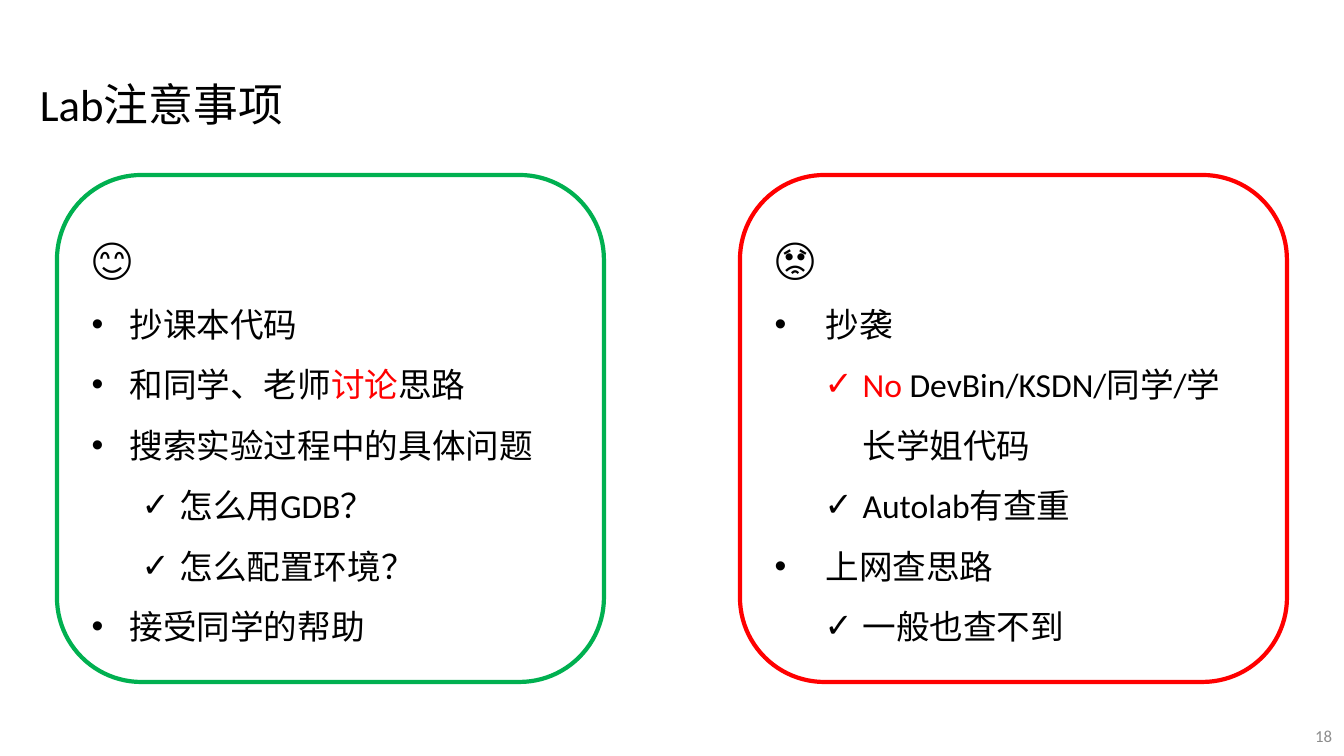
import pptx
import pptx.dml.color
import pptx.enum.shapes
import pptx.enum.text
import pptx.oxml.ns
import pptx.util
from lxml import etree

EMU_PER_PX = 914400 / 100.8
FONT = "Calibri"
COLORS = {
    "text": "000000",
    "panel": "FFFFFF",
    "good": "00B050",
    "bad": "FF0000",
    "number": "8C8C8C",
}
ALIGN = pptx.enum.text.PP_ALIGN
ANCHOR = pptx.enum.text.MSO_ANCHOR

PANEL_TOP, PANEL_WIDTH, PANEL_HEIGHT = 175, 547, 507
HANGING = 38
CHECK_INDENT = 88

# Each item: level, then spans of (text, colour name).
GOOD_ITEMS = [
    (0, [("抄课本代码", "text")]),
    (0, [("和同学、老师", "text"), ("讨论", "bad"), ("思路", "text")]),
    (0, [("搜索实验过程中的具体问题", "text")]),
    (1, [("怎么用GDB？", "text")]),
    (1, [("怎么配置环境？", "text")]),
    (0, [("接受同学的帮助", "text")]),
]
BAD_ITEMS = [
    (0, [("抄袭", "text")]),
    (1, [("No ", "bad"), ("DevBin/KSDN/同学/学长学姐代码", "text")]),
    (1, [("Autolab有查重", "text")]),
    (0, [("上网查思路", "text")]),
    (1, [("一般也查不到", "text")]),
]


def px(length):
    return pptx.util.Emu(round(length * EMU_PER_PX))


def rgb(name):
    return pptx.dml.color.RGBColor.from_string(COLORS[name])


def add_span(para, text, *, size=24, color="text"):
    span = para.add_run()
    span.text = text
    span.font.name = FONT
    span.font.size = pptx.util.Pt(size)
    span.font.color.rgb = rgb(color)


def add_bullet(para, mark, indent, hanging):
    """Give the paragraph a bullet that hangs left of its indent."""
    properties = para._p.get_or_add_pPr()
    properties.set("marL", str(px(indent)))
    properties.set("indent", str(px(-hanging)))
    qn = pptx.oxml.ns.qn
    etree.SubElement(properties, qn("a:buFont")).set("typeface", "Arial")
    etree.SubElement(properties, qn("a:buChar")).set("char", mark)


def add_label(page, text, place, *, size, color="text", align=ALIGN.LEFT,
              anchor=ANCHOR.TOP):
    box = page.shapes.add_textbox(*map(px, place))
    frame = box.text_frame
    frame.word_wrap = True
    frame.vertical_anchor = anchor
    para = frame.paragraphs[0]
    para.alignment = align
    add_span(para, text, size=size, color=color)


def add_panel(page, left, outline, face, items, dot_indent):
    """Add a rounded panel headed by a face, with dot and check items."""
    panel = page.shapes.add_shape(
        pptx.enum.shapes.MSO_SHAPE.ROUNDED_RECTANGLE,
        px(left), px(PANEL_TOP), px(PANEL_WIDTH), px(PANEL_HEIGHT))
    panel.shadow.inherit = False
    panel.fill.solid()
    panel.fill.fore_color.rgb = rgb("panel")
    panel.line.color.rgb = rgb(outline)
    panel.line.width = pptx.util.Pt(3)

    frame = panel.text_frame
    frame.word_wrap = True
    frame.vertical_anchor = ANCHOR.TOP
    frame.margin_top = px(3)
    frame.margin_bottom = px(0)
    heading = frame.paragraphs[0]
    heading.alignment = ALIGN.LEFT
    heading.line_spacing = 1.5
    add_span(heading, face, size=32)

    for level, spans in items:
        para = frame.add_paragraph()
        para.level = level
        para.alignment = ALIGN.LEFT
        para.line_spacing = 1.5
        if level:
            add_bullet(para, "✓", CHECK_INDENT, HANGING)
        else:
            add_bullet(para, "•", dot_indent, dot_indent)
        for text, color in spans:
            add_span(para, text, color=color)


def main():
    deck = pptx.Presentation()
    deck.slide_width = px(1344)
    deck.slide_height = px(756)
    page = deck.slides.add_slide(deck.slide_layouts[6])

    add_panel(page, 740, "bad", "😡", BAD_ITEMS, 51)
    add_panel(page, 57, "good", "😊", GOOD_ITEMS, HANGING)
    add_label(page, "18", (1040, 716, 302, 40), size=12, color="number",
              align=ALIGN.RIGHT, anchor=ANCHOR.MIDDLE)
    add_label(page, "Lab注意事项", (30, 72, 500, 65), size=32)

    deck.save("out.pptx")


if __name__ == "__main__":
    main()
